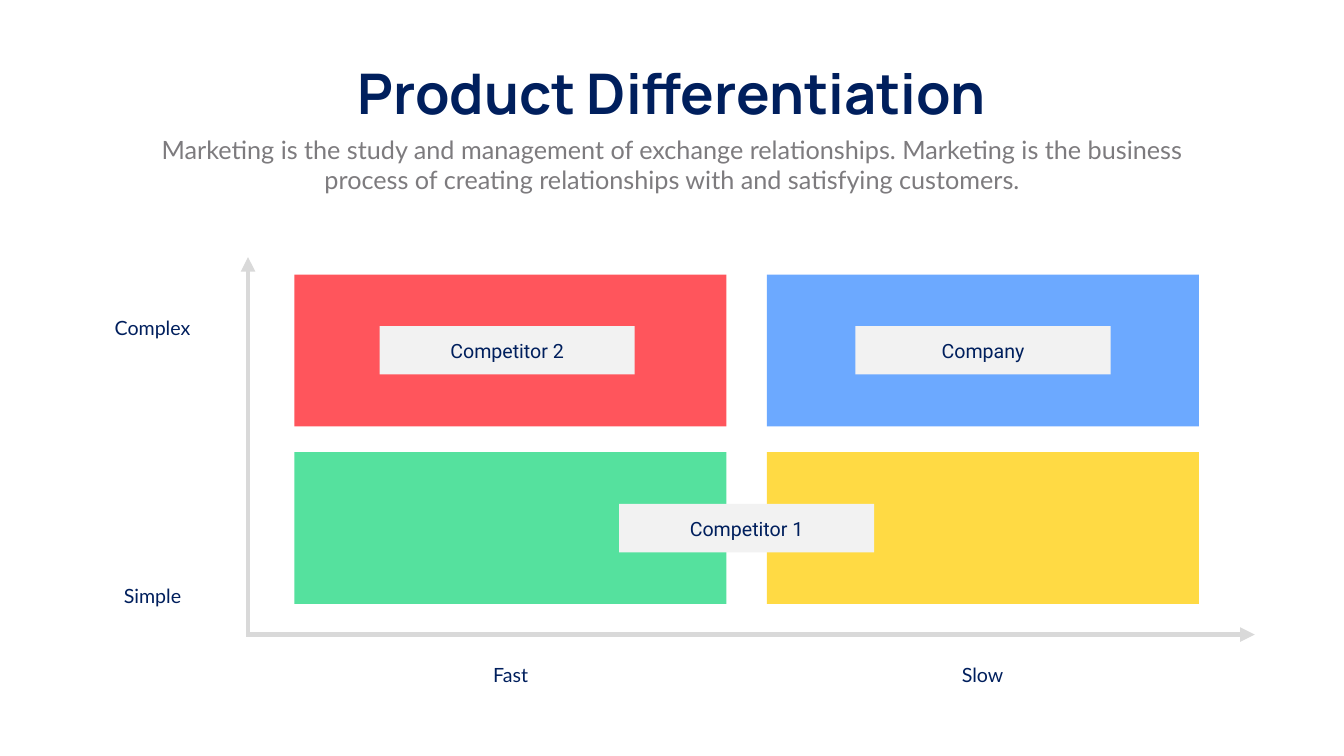
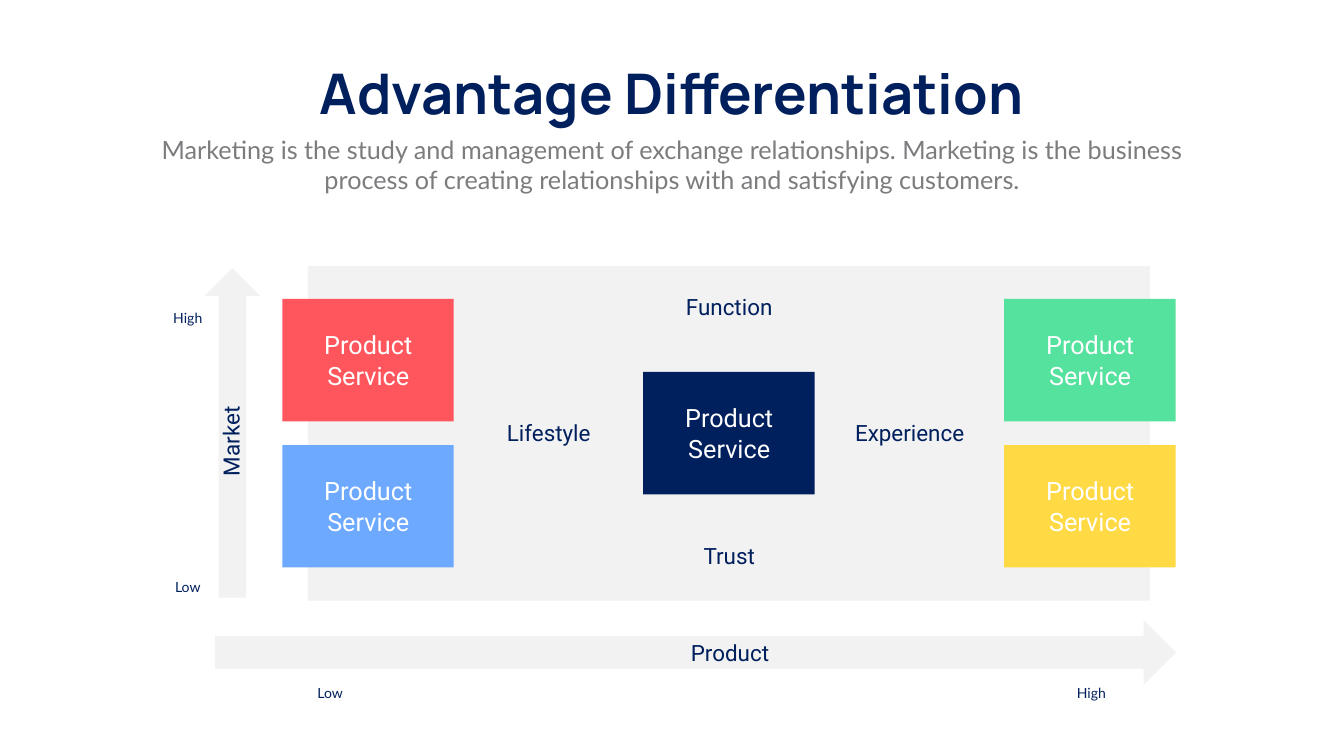
from lxml.etree import SubElement
from pptx import Presentation
from pptx.dml.color import RGBColor
from pptx.enum.shapes import MSO_CONNECTOR, MSO_SHAPE
from pptx.enum.text import MSO_ANCHOR, MSO_AUTO_SIZE, PP_ALIGN
from pptx.oxml.ns import qn
from pptx.util import Inches, Pt

COLORS = {
    "navy": "001F5D", "gray": "7D7B7E", "axis": "D9D9D9", "pale": "F2F2F2",
    "red": "FF555C", "green": "55E19E", "blue": "6CA9FF", "yellow": "FFDA44",
    "white": "FFFFFF",
}
SUBTITLE = ("Marketing is the study and management of exchange relationships. "
            "Marketing is the business process of creating relationships with "
            "and satisfying customers.")

QUADRANTS = [["red", "blue"], ["green", "yellow"]]
AXIS_LABELS = [
    ("Complex", 1.77, 6.22, 2.51), ("Simple", 1.77, 11.54, 2.51),
    ("Fast", 9.43, 13.1, 1.4), ("Slow", 18.79, 13.1, 1.4),
]
AXES = [((4.88, 12.59), (24.89, 12.59)), ((4.92, 12.62), (4.92, 5.1))]
PLAYERS = [("Competitor 2", 7.53, 6.47), ("Competitor 1", 12.28, 10),
           ("Company", 16.97, 6.47)]

PRODUCTS = [
    ("navy", 12.76, 7.38), ("red", 5.6, 5.93), ("blue", 5.6, 8.83),
    ("green", 19.92, 5.93), ("yellow", 19.92, 8.83),
]
VALUES = [("Function", 13.02, 5.76), ("Trust", 13.02, 10.71),
          ("Experience", 16.6, 8.27), ("Lifestyle", 9.44, 8.27)]
SCALE_LABELS = [
    ("High", 3.33, 6.1, 0.79), ("Low", 3.33, 11.43, 0.79),
    ("Low", 6.11, 13.53, 0.88), ("High", 21.21, 13.53, 0.88),
]


def rgb(name):
    return RGBColor.from_string(COLORS[name])


def write(frame, text, size, font, color, bold=False):
    para = frame.paragraphs[0]
    para.text = text
    para.alignment = PP_ALIGN.CENTER
    para.font.size = Pt(size)
    para.font.name = font
    para.font.bold = bold
    para.font.color.rgb = rgb(color)


def add_text(page, text, left, top, width, height, size,
             font="Lato", color="navy", bold=False, wrap=True):
    box = page.shapes.add_textbox(*map(Inches, (left, top, width, height)))
    box.text_frame.word_wrap = wrap
    box.text_frame.auto_size = MSO_AUTO_SIZE.SHAPE_TO_FIT_TEXT
    write(box.text_frame, text, size, font, color, bold)
    return box


def add_block(page, color, left, top, width, height, kind=MSO_SHAPE.RECTANGLE):
    block = page.shapes.add_shape(kind, *map(Inches, (left, top, width, height)))
    block.shadow.inherit = False
    block.fill.solid()
    block.fill.fore_color.rgb = rgb(color)
    block.line.fill.background()
    return block


def add_axis(page, start, end):
    axis = page.shapes.add_connector(MSO_CONNECTOR.STRAIGHT,
                                     *map(Inches, start + end))
    axis.line.color.rgb = rgb("axis")
    axis.line.width = Pt(7)
    SubElement(axis.line._get_or_add_ln(), qn("a:tailEnd"), type="triangle")
    SubElement(axis._element.spPr, qn("a:effectLst"))


def add_page(deck, title, left, width):
    page = deck.slides.add_slide(deck.slide_layouts[6])
    add_text(page, title, left, 1.12, width, 1.45, 80, "Manrope",
             bold=True, wrap=False)
    add_text(page, SUBTITLE, 2.92, 2.61, 20.82, 1.31, 36, color="gray")
    return page


def build_product_page(deck):
    page = add_page(deck, "Product Differentiation", 6.56, 13.54)
    for text, left, top, width in AXIS_LABELS:
        add_text(page, text, left, top, width, 0.57, 28)
    for row, colors in enumerate(QUADRANTS):
        for column, color in enumerate(colors):
            quadrant = add_block(page, color, 5.84 + column * 9.37,
                                 5.45 + row * 3.52, 8.57, 3.01,
                                 MSO_SHAPE.SNIP_1_RECTANGLE)
            quadrant.adjustments[0] = 0
    for start, end in AXES:
        add_axis(page, start, end)
    for name, left, top in PLAYERS:
        player = add_block(page, "pale", left, top, 5.06, 0.96)
        player.text_frame.vertical_anchor = MSO_ANCHOR.MIDDLE
        write(player.text_frame, name, 28, "Roboto", "navy")


def build_advantage_page(deck):
    page = add_page(deck, "Advantage Differentiation", 5.66, 15.33)
    add_block(page, "pale", 6.11, 5.28, 16.7, 6.64)
    for color, left, top in PRODUCTS:
        add_block(page, color, left, top, 3.4, 2.43)
        add_text(page, "Product Service", left + 0.26, top + 0.56, 2.89, 1.31,
                 36, "Roboto", "white")
    for text, left, top in VALUES:
        add_text(page, text, left, top, 2.89, 0.64, 32, "Roboto")
    add_block(page, "pale", 4.06, 5.32, 1.1, 6.54, MSO_SHAPE.UP_ARROW)
    market = add_text(page, "Market", 3.21, 8.48, 2.65, 0.55, 32, "Roboto")
    market.rotation = 270
    add_block(page, "pale", 4.27, 12.3, 19.06, 1.29, MSO_SHAPE.RIGHT_ARROW)
    add_text(page, "Product", 13.22, 12.64, 2.52, 0.64, 32, "Roboto")
    for text, left, top, width in SCALE_LABELS:
        add_text(page, text, left, top, width, 0.44, 20)


def main():
    deck = Presentation()
    deck.slide_width = Inches(26.66)
    deck.slide_height = Inches(15)
    build_product_page(deck)
    build_advantage_page(deck)
    deck.save("out.pptx")


if __name__ == "__main__":
    main()
